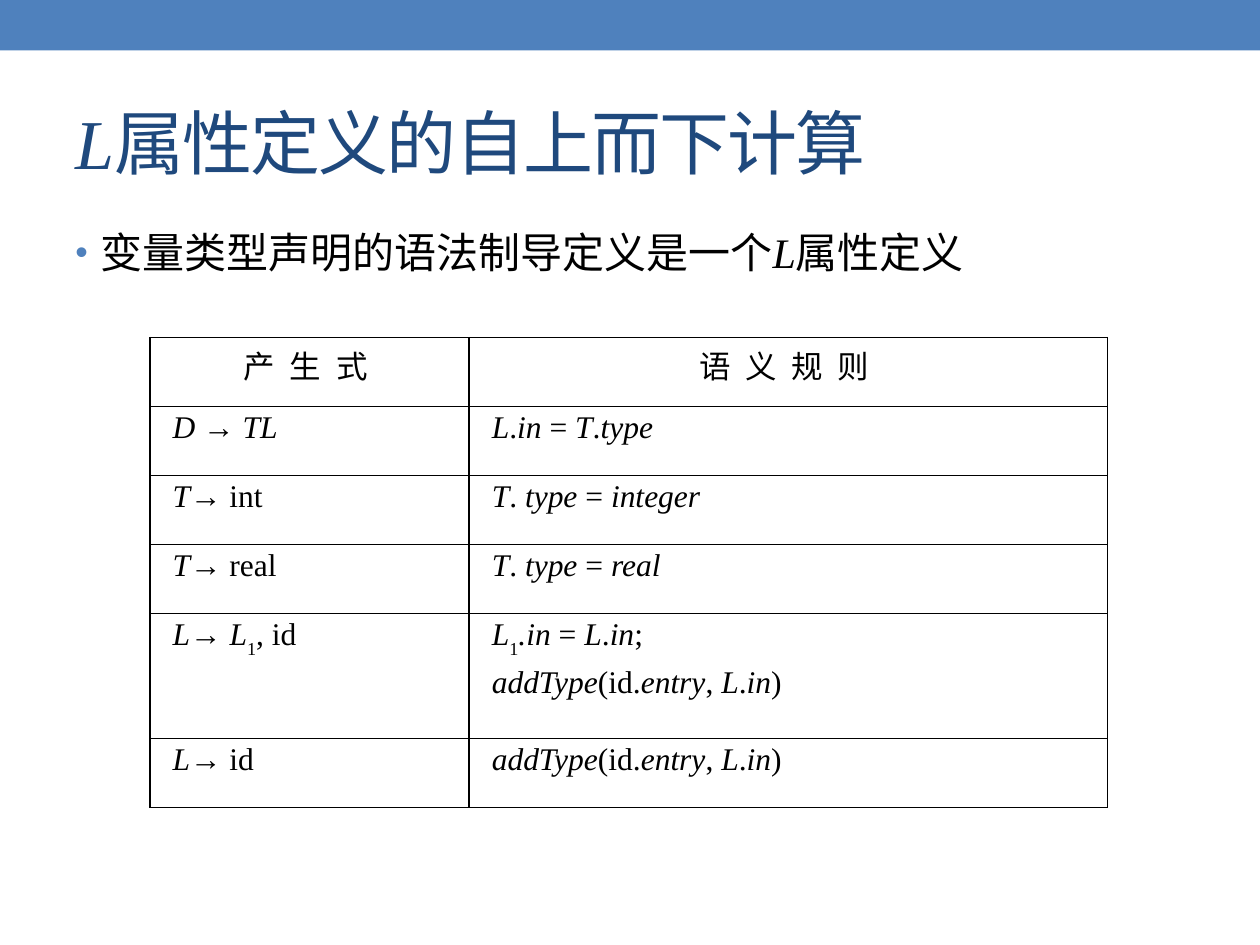
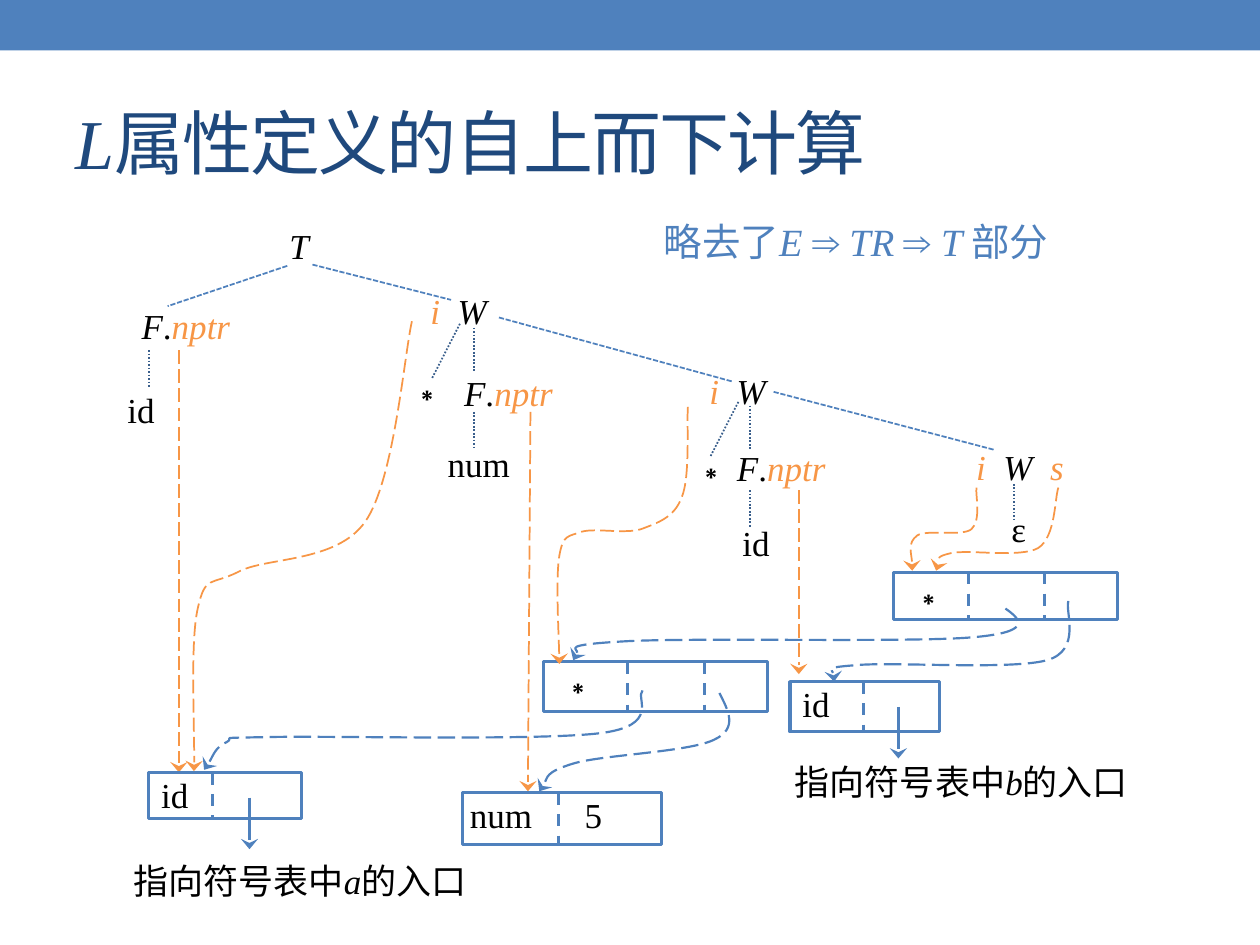
import dataclasses
import lxml.etree
import pptx
import pptx.dml.color
import pptx.enum.dml
import pptx.enum.shapes
import pptx.enum.text
import pptx.oxml.ns
import pptx.util

Inches = pptx.util.Inches
Pt = pptx.util.Pt
Dash = pptx.enum.dml.MSO_LINE
Align = pptx.enum.text.PP_ALIGN
Anchor = pptx.enum.text.MSO_ANCHOR
Rect = pptx.enum.shapes.MSO_SHAPE.RECTANGLE
Line = pptx.enum.shapes.MSO_CONNECTOR.STRAIGHT


@dataclasses.dataclass(frozen=True)
class Theme:
    font: str = "Times New Roman"
    blue: str = "4F81BD"
    navy: str = "1F497D"
    slate: str = "3A5F8C"
    orange: str = "F79646"
    black: str = "000000"
    head: int = 40
    body: int = 24
    note: int = 22
    node: int = 20
    cell: int = 18


LOOK = Theme()
SIZE = (10, 7.5)
SLIM = (0.02, 0.01, 0.02, 0.01)
WIDE = (0.1, 0.05, 0.1, 0.05)
TITLE = [("L", "i"), "属性定义的自上而下计算"]


def rgb(color):
    return pptx.dml.color.RGBColor.from_string(color)


def sub(parent, tag, **attrs):
    return lxml.etree.SubElement(parent, pptx.oxml.ns.qn(tag), **attrs)


def place(box):
    return [Inches(part) for part in box]


def write(para, runs, size, color=LOOK.black, track=0):
    for item in runs:
        text, flags = (item, "") if isinstance(item, str) else item
        run = para.add_run()
        run.text = text
        font = run.font
        font.name, font.size = LOOK.font, Pt(size)
        font.italic = "i" in flags
        font.color.rgb = rgb(LOOK.orange if "o" in flags else color)
        gap = 5 if "w" in flags else track
        if gap:
            run._r.get_or_add_rPr().set("spc", str(round(gap * 100)))
        if "s" in flags:
            run._r.get_or_add_rPr().set("baseline", "-30000")


def setup(frame, inset, anchor=Anchor.TOP):
    frame.word_wrap = True
    frame.vertical_anchor = anchor
    (frame.margin_left, frame.margin_top,
     frame.margin_right, frame.margin_bottom) = place(inset)
    return frame.paragraphs[0]


def label(slide, box, runs, size, color=LOOK.black, inset=SLIM,
          align=Align.CENTER, anchor=Anchor.TOP, track=0):
    area = slide.shapes.add_textbox(*place(box))
    para = setup(area.text_frame, inset, anchor)
    para.alignment = align
    write(para, runs, size, color, track)
    return para


def stroke(shape, color, width, dash=None, arrow=False):
    shape.line.color.rgb = rgb(color)
    shape.line.width = Pt(width)
    if dash:
        shape.line.dash_style = dash
    if arrow:
        edge = shape.element.spPr.find(pptx.oxml.ns.qn("a:ln"))
        sub(edge, "a:tailEnd", type="stealth", w="lg", len="med")


def link(slide, ends, color, width, dash=None, arrow=False):
    line = slide.shapes.add_connector(Line, *place(ends))
    stroke(line, color, width, dash, arrow)
    sub(line.element.spPr, "a:effectLst")


def curve(slide, points, color, width):
    build = slide.shapes.build_freeform(*place(points[0]))
    build.add_line_segments([place(dot) for dot in points[1:]], close=False)
    shape = build.convert_to_shape()
    lines = list(shape.element.iter(pptx.oxml.ns.qn("a:lnTo")))
    for i in range(0, len(lines), 3):
        arc = sub(lines[i].getparent(), "a:cubicBezTo")
        for line in lines[i:i + 3]:
            arc.append(line[0])
            line.getparent().remove(line)
    shape.shadow.inherit = False
    shape.fill.background()
    stroke(shape, color, width, Dash.LONG_DASH, True)


def base(prs):
    slide = prs.slides.add_slide(prs.slide_layouts[6])
    band = slide.shapes.add_shape(Rect, *place((0, 0, SIZE[0], 0.4)))
    band.shadow.inherit = False
    band.fill.solid()
    band.fill.fore_color.rgb = rgb(LOOK.blue)
    band.line.fill.background()
    label(slide, (0.5, 0.58, 9, 1.08), TITLE, LOOK.head, LOOK.navy, WIDE,
          Align.LEFT, Anchor.MIDDLE, -1)
    return slide


def point(slide, box, runs):
    para = label(slide, box, runs, LOOK.body, inset=WIDE, align=Align.LEFT)
    props = para._p.get_or_add_pPr()
    props.set("marL", str(Inches(0.2)))
    props.set("indent", str(-Inches(0.2)))
    sub(sub(props, "a:buClr"), "a:srgbClr", val=LOOK.blue)
    sub(props, "a:buSzPct", val="85000")
    sub(props, "a:buFont", typeface="Arial")
    sub(props, "a:buChar", char="•")


def border(cell):
    props = cell._tc.get_or_add_tcPr()
    for side in ("a:lnL", "a:lnR", "a:lnT", "a:lnB"):
        edge = sub(props, side, w=str(Pt(1)))
        sub(sub(edge, "a:solidFill"), "a:srgbClr", val=LOOK.black)
    cell.fill.background()


def rules(slide, box):
    add = [("addType", "i"), "(id.", ("entry", "i"), ", ", ("L", "i"), ".",
           ("in", "i"), ")"]

    def kind(name):
        return [("T", "i"), ".", (" type", "i"), " = ", (name, "i")]

    rows = [
        ([["产 生 式"]], [["语 义 规 则"]]),
        ([[("D ", "i"), "→ ", ("TL", "i")]],
         [[("L", "i"), ".", ("in", "i"), " = ", ("T", "i"), ".", ("type", "i")]]),
        ([[("T", "i"), "→ int"]], [kind("integer")]),
        ([[("T", "i"), "→ real"]], [kind("real")]),
        ([[("L", "i"), "→ ", ("L", "i"), ("1", "s"), ", id"]],
         [[("L", "i"), ("1", "s"), (".in", "i"), " = ", ("L", "i"), ".",
           ("in", "i"), ";"], add]),
        ([[("L", "i"), "→ id"]], [add]),
    ]
    table = slide.shapes.add_table(len(rows), 2, *place(box)).table
    table.first_row = table.horz_banding = False
    for col, part in zip(table.columns, (1 / 3, 2 / 3)):
        col.width = Inches(box[2] * part)
    tall = 0.99
    short = (box[3] - tall) / (len(rows) - 1)
    for i, row in enumerate(rows):
        table.rows[i].height = Inches(tall if len(row[1]) > 1 else short)
        for j, paras in enumerate(row):
            cell = table.cell(i, j)
            border(cell)
            cell.margin_left = Inches(0.18 if i else 0.06)
            cell.margin_right = Inches(0.06 if i else 0.12)
            cell.margin_top = cell.margin_bottom = Inches(0.03)
            for k, runs in enumerate(paras):
                frame = cell.text_frame
                para = frame.add_paragraph() if k else frame.paragraphs[0]
                para.alignment = Align.LEFT if i else Align.CENTER
                if k:
                    para.space_before = Pt(3.6)
                write(para, runs, LOOK.cell, track=0 if i else 2.2)


def record(slide, box, text, cuts, pad=0.1, tab=None):
    left, top, width, height = box
    shape = slide.shapes.add_shape(Rect, *place(box))
    shape.shadow.inherit = False
    shape.fill.background()
    stroke(shape, LOOK.blue, 1.75)
    para = setup(shape.text_frame, (pad, *SLIM[1:]))
    para.alignment = Align.LEFT
    if tab:
        stops = sub(para._p.get_or_add_pPr(), "a:tabLst")
        sub(stops, "a:tab", pos=str(Inches(tab)), algn="l")
    write(para, [text], LOOK.node)
    for cut in cuts:
        link(slide, (left + cut, top, left + cut, top + height),
             LOOK.blue, 1.75, Dash.DASH)


def entry(slide, box, cut, mark, name, note):
    left, top = box[:2]
    record(slide, box, "id", [cut])
    link(slide, (left + mark, top + 0.2, left + mark, top + 0.61), LOOK.blue, 1.75,
         arrow=True)
    label(slide, note, ["指向符号表中", (name, "i"), "的入口"], LOOK.node)


def tree(slide, box):
    left, top = box[:2]
    attr = [("F", "i"), ".", ("nptr", "io")]
    heir = [("i", "io"), (" ", "w"), ("W", "i")]
    tail = heir + [(" ", "w"), ("s", "io")]
    names = [
        (2.21, 1.77, 0.33, 0.34, [("T", "i")]),
        (0.95, 2.41, 1.05, 0.3, attr), (0.85, 3.07, 0.54, 0.36, ["id"]),
        (3.28, 2.29, 0.72, 0.32, heir), (3.2, 2.92, 0.38, 0.28, ["∗"]),
        (3.51, 2.94, 1.05, 0.34, attr), (3.42, 3.5, 0.76, 0.28, ["num"]),
        (5.44, 2.92, 0.83, 0.31, heir), (5.47, 3.54, 0.35, 0.3, ["∗"]),
        (5.66, 3.53, 1.08, 0.38, attr), (5.82, 4.13, 0.36, 0.33, ["id"]),
        (7.65, 3.53, 0.89, 0.33, tail), (7.96, 4.02, 0.25, 0.28, ["ε"]),
    ]
    for x, y, wide, high, runs in names:
        label(slide, (left + x, top + y, wide, high), runs, LOOK.node)
    arms = [(2.28, 2.11, 1.33, 2.43), (2.48, 2.1, 3.58, 2.38),
            (3.96, 2.52, 5.82, 3.03), (6.14, 3.11, 7.89, 3.57)]
    drops = [(1.18, 2.78, 0.3), (3.76, 2.6, 0.35), (3.76, 3.27, 0.3),
             (5.95, 3.22, 0.34), (5.95, 3.89, 0.3), (8.05, 3.84, 0.3)]
    dots = [(x, y, x, y + fall) for x, y, fall in drops]
    dots += [(3.65, 2.57, 3.43, 3), (5.86, 3.19, 5.64, 3.62)]
    falls = [(1.42, 2.78, 1.42, 6.13), (4.21, 3.27, 4.19, 6.28),
             (6.34, 3.89, 6.34, 5.35)]
    for group, color, dash, arrow in (
            (arms, LOOK.blue, Dash.SQUARE_DOT, False),
            (dots, LOOK.slate, Dash.ROUND_DOT, False),
            (falls, LOOK.orange, Dash.LONG_DASH, True)):
        for a, b, c, d in group:
            link(slide, (left + a, top + b, left + c, top + d), color, 1, dash, arrow)


def store(slide, box):
    left, top = box[:2]

    def at(x, y, wide, high):
        return left + x, top + y, wide, high

    entry(slide, at(1.18, 6.13, 1.21, 0.37), 0.51, 0.8, "a",
          at(0.57, 6.81, 3.62, 0.33))
    entry(slide, at(6.27, 5.41, 1.19, 0.4), 0.58, 0.86, "b",
          at(5.82, 6.03, 3.62, 0.34))
    record(slide, at(3.67, 6.29, 1.58, 0.41), "num\t5", [0.76], 0.06, 0.91)
    record(slide, at(7.09, 4.54, 1.78, 0.38), "∗", [0.6, 1.2], 0.14)
    record(slide, at(4.31, 5.25, 1.78, 0.4), "∗", [0.67, 1.28], 0.14)


def flows(slide, box):
    left, top = box[:2]
    passed = [
        [(3.27, 2.55), (3.21, 2.81), (3.13, 3.81), (2.9, 4.14),
         (2.67, 4.47), (2.11, 4.42), (1.89, 4.54),
         (1.67, 4.65), (1.63, 4.56), (1.57, 4.83),
         (1.51, 5.09), (1.55, 5.85), (1.54, 6.12)],
        [(5.46, 3.23), (5.45, 3.35), (5.48, 3.79), (5.41, 3.95),
         (5.35, 4.11), (5.22, 4.15), (5.09, 4.2),
         (4.96, 4.24), (4.73, 4.19), (4.62, 4.22),
         (4.51, 4.26), (4.47, 4.24), (4.44, 4.41),
         (4.41, 4.59), (4.44, 5.12), (4.44, 5.27)],
        [(7.75, 3.87), (7.74, 3.92), (7.79, 4.13), (7.71, 4.2),
         (7.64, 4.26), (7.36, 4.2), (7.28, 4.25),
         (7.2, 4.31), (7.25, 4.47), (7.24, 4.53)],
        [(8.4, 3.87), (8.37, 3.95), (8.38, 4.26), (8.24, 4.35),
         (8.1, 4.43), (7.69, 4.36), (7.55, 4.39),
         (7.42, 4.42), (7.45, 4.5), (7.43, 4.53)],
    ]
    held = [
        [(5.1, 5.48), (5.04, 5.54), (5.25, 5.76), (4.76, 5.82),
         (4.27, 5.88), (2.64, 5.84), (2.15, 5.85),
         (1.66, 5.86), (1.88, 5.85), (1.8, 5.89),
         (1.71, 5.93), (1.66, 6.07), (1.62, 6.11)],
        [(5.71, 5.5), (5.78, 5.64), (5.86, 5.78), (5.67, 5.87),
         (5.47, 5.97), (4.78, 5.99), (4.55, 6.06),
         (4.32, 6.13), (4.32, 6.25), (4.28, 6.28)],
        [(7.98, 4.83), (8.11, 4.92), (8.2, 5.02), (7.7, 5.06),
         (7.2, 5.1), (5.48, 5.06), (4.96, 5.09),
         (4.43, 5.12), (4.64, 5.21), (4.55, 5.24)],
        [(8.48, 4.77), (8.45, 4.85), (8.59, 5.16), (8.31, 5.24),
         (8.02, 5.32), (7.07, 5.25), (6.79, 5.28),
         (6.51, 5.3), (6.65, 5.38), (6.62, 5.41)],
    ]
    for group, color, width in ((passed, LOOK.orange, 1), (held, LOOK.blue, 1.25)):
        for points in group:
            curve(slide, [(left + x, top + y) for x, y in points], color, width)


def main():
    prs = pptx.Presentation()
    prs.slide_width, prs.slide_height = place(SIZE)
    slide = base(prs)
    point(slide, (0.5, 1.75, 9, 5.33),
          ["变量类型声明的语法制导定义是一个", ("L", "i"), "属性定义"])
    rules(slide, (1.19, 2.68, 7.6, 3.73))
    slide = base(prs)
    pane = (0, 0, *SIZE)
    tree(slide, pane)
    store(slide, pane)
    flows(slide, pane)
    label(slide, (5.17, 1.54, 4.8, 0.75),
          ["略去了", ("E ", "i"), "⇒ ", ("TR ", "i"), "⇒ ", ("T ", "i"), "部分"],
          LOOK.note, LOOK.blue, WIDE, Align.LEFT, Anchor.MIDDLE)
    prs.save("out.pptx")


if __name__ == "__main__":
    main()
